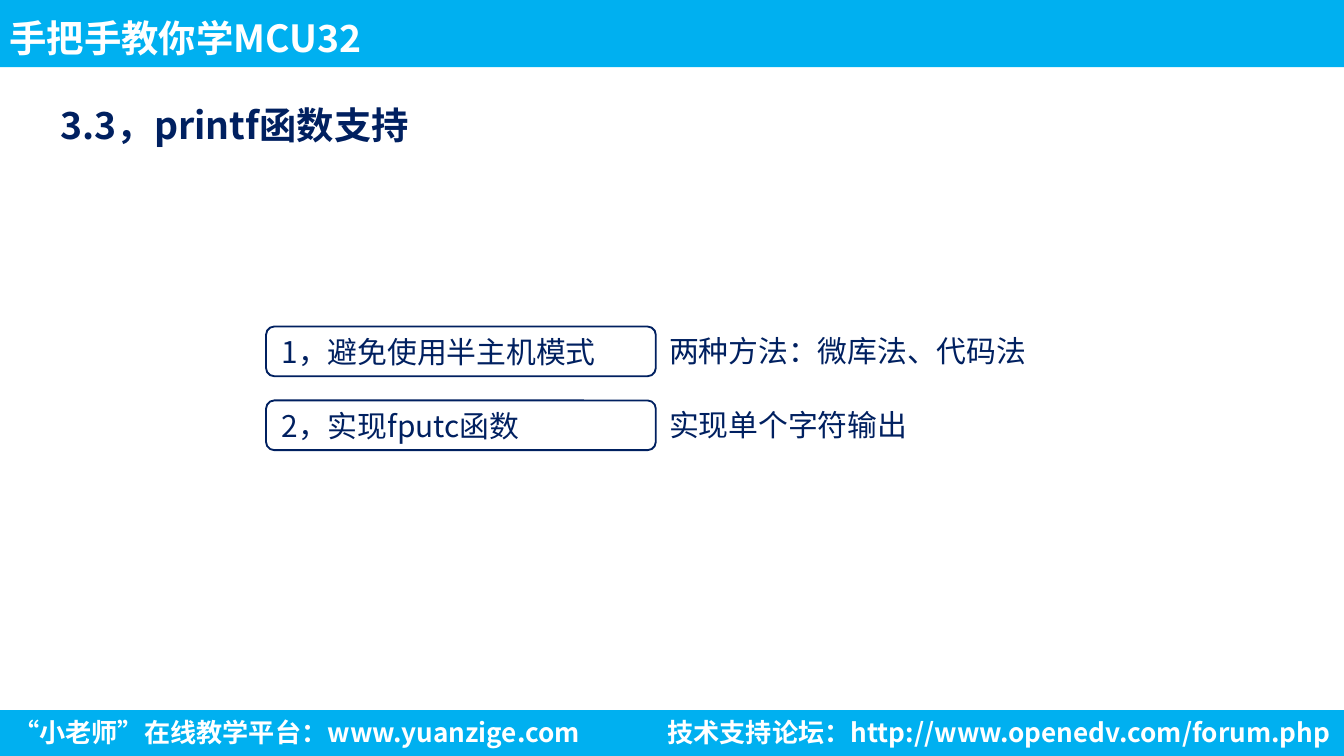
from dataclasses import dataclass

from lxml import etree
from pptx import Presentation
from pptx.dml.color import RGBColor
from pptx.enum.shapes import MSO_SHAPE
from pptx.enum.text import MSO_ANCHOR, MSO_AUTO_SIZE, PP_ALIGN
from pptx.oxml.ns import qn
from pptx.util import Inches, Pt

RECTANGLE = MSO_SHAPE.RECTANGLE
ROUNDED_RECTANGLE = MSO_SHAPE.ROUNDED_RECTANGLE
TOP = MSO_ANCHOR.TOP
MIDDLE = MSO_ANCHOR.MIDDLE
LEFT = PP_ALIGN.LEFT
RIGHT = PP_ALIGN.RIGHT
GROW = MSO_AUTO_SIZE.SHAPE_TO_FIT_TEXT
FIXED = MSO_AUTO_SIZE.NONE

SLIDE_WIDTH = 10
SLIDE_HEIGHT = SLIDE_WIDTH * 9 / 16
TITLE_ONLY = 5


@dataclass(frozen=True)
class Theme:
    font: str = "Noto Sans CJK SC"
    bar: RGBColor = RGBColor(0x00, 0xB0, 0xF0)
    ink: RGBColor = RGBColor(0x00, 0x20, 0x60)
    paper: RGBColor = RGBColor(0xFF, 0xFF, 0xFF)
    title_size: int = 20
    body_size: int = 16
    footer_size: int = 14


THEME = Theme()

STEPS = [
    ("1，避免使用半主机模式", "两种方法：微库法、代码法", 2.89),
    ("2，实现fputc函数", "实现单个字符输出", 2),
]


def write(shape, text, size, color, bold=False, align=LEFT, anchor=TOP,
          margins=(0.1, 0.05), line_spacing=None, wrap=True, auto_size=GROW):
    frame = shape.text_frame
    frame.text = text
    frame.word_wrap = wrap
    frame.auto_size = auto_size
    frame.vertical_anchor = anchor
    frame.margin_left = frame.margin_right = Inches(margins[0])
    frame.margin_top = frame.margin_bottom = Inches(margins[1])
    paragraph = frame.paragraphs[0]
    paragraph.alignment = align
    if line_spacing:
        paragraph.line_spacing = line_spacing
    font = paragraph.runs[0].font
    font.size = Pt(size)
    font.bold = bold
    font.color.rgb = color
    font.name = THEME.font
    latin = font._element.find(qn("a:latin"))
    east_asian = etree.Element(qn("a:ea"), typeface=THEME.font)
    latin.addnext(east_asian)


def add_box(slide, kind, left, top, width, height, fill, line=None):
    shape = slide.shapes.add_shape(
        kind, Inches(left), Inches(top), Inches(width), Inches(height))
    shape.shadow.inherit = False
    shape.fill.solid()
    shape.fill.fore_color.rgb = fill
    if line is None:
        shape.line.fill.background()
    else:
        shape.line.color.rgb = line
        shape.line.width = Pt(1)
    return shape


def add_text(slide, left, top, width, height, text, size, color, **style):
    box = slide.shapes.add_textbox(
        Inches(left), Inches(top), Inches(width), Inches(height))
    write(box, text, size, color, **style)


def add_header(slide, left, top, width, height):
    add_box(slide, RECTANGLE, left, top, width, height, THEME.bar)
    add_text(slide, left, top, 6.45, height, "手把手教你学MCU32",
             THEME.title_size, THEME.paper, bold=True, anchor=MIDDLE,
             margins=(0.07, 0.04), line_spacing=1.2, auto_size=FIXED)


def add_footer(slide, left, top, width, height):
    add_box(slide, RECTANGLE, left, top, width, height, THEME.bar)
    add_text(slide, left, top, 5.88, height,
             "“小老师”在线教学平台：www.yuanzige.com",
             THEME.footer_size, THEME.paper, bold=True)
    forum_width = 6.37
    add_text(slide, left + width - forum_width, top, forum_width, height,
             "技术支持论坛：http://www.openedv.com/forum.php",
             THEME.footer_size, THEME.paper, bold=True, align=RIGHT)


def place_title(slide, left, top, width, height):
    title = slide.shapes.title
    title.left, title.top = Inches(left), Inches(top)
    title.width, title.height = Inches(width), Inches(height)
    write(title, "3.3，printf函数支持", THEME.title_size, THEME.ink, bold=True,
          margins=(0.05, 0.02), line_spacing=1.5)


def add_steps(slide, left, top, label_width, height):
    row_height = 0.37
    pitch = (height - row_height) / (len(STEPS) - 1)
    for index, (label, note, note_width) in enumerate(STEPS):
        row_top = top + index * pitch
        box = add_box(slide, ROUNDED_RECTANGLE, left, row_top, label_width,
                      row_height, THEME.paper, THEME.ink)
        write(box, label, THEME.body_size, THEME.ink, anchor=MIDDLE,
              auto_size=FIXED)
        add_text(slide, left + label_width, row_top, note_width, row_height,
                 note, THEME.body_size, THEME.ink, wrap=False)


def main():
    presentation = Presentation()
    presentation.slide_width = Inches(SLIDE_WIDTH)
    presentation.slide_height = Inches(SLIDE_HEIGHT)
    slide = presentation.slides.add_slide(
        presentation.slide_layouts[TITLE_ONLY])
    footer_height = 0.34
    add_footer(slide, 0, SLIDE_HEIGHT - footer_height, SLIDE_WIDTH,
               footer_height)
    add_header(slide, 0, 0, SLIDE_WIDTH, 0.5)
    place_title(slide, 0.4, 0.57, 5.24, 0.5)
    add_steps(slide, 1.98, 2.43, 2.9, 0.92)
    presentation.save("out.pptx")


if __name__ == "__main__":
    main()
